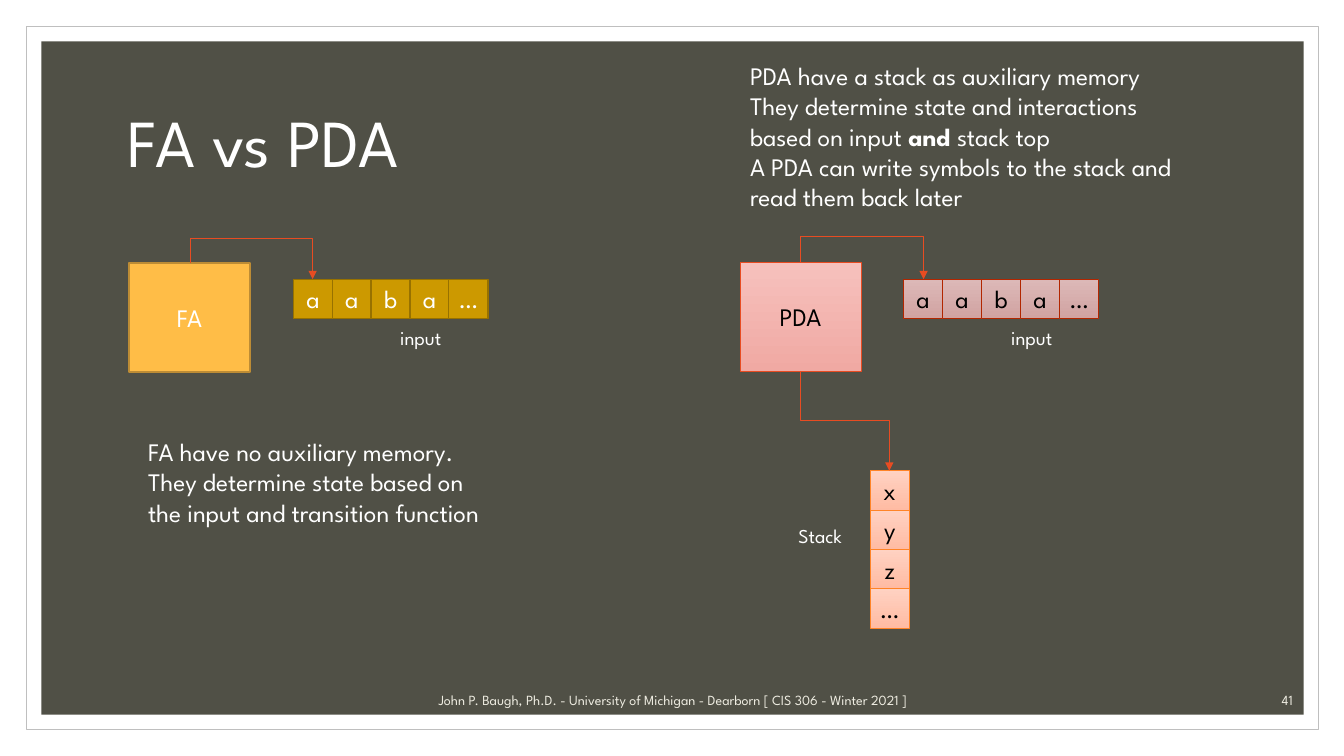
from dataclasses import dataclass

from lxml import etree
from pptx import Presentation
from pptx.dml.color import RGBColor
from pptx.enum.shapes import MSO_CONNECTOR, MSO_SHAPE
from pptx.enum.text import MSO_ANCHOR, MSO_AUTO_SIZE, PP_ALIGN
from pptx.oxml.ns import qn
from pptx.util import Inches, Pt

RECT = MSO_SHAPE.RECTANGLE
ELBOW = MSO_CONNECTOR.ELBOW
TOP, MID, LOW = MSO_ANCHOR.TOP, MSO_ANCHOR.MIDDLE, MSO_ANCHOR.BOTTOM
LEFT, CENTER, RIGHT = PP_ALIGN.LEFT, PP_ALIGN.CENTER, PP_ALIGN.RIGHT
GROW = MSO_AUTO_SIZE.SHAPE_TO_FIT_TEXT


@dataclass
class Theme:
    font: str = "League Spartan"
    white: str = "FFFFFF"
    black: str = "000000"
    frame: str = "BFBFBF"
    panel: str = "505046"
    foot: str = "EEECE1"
    arrow: str = "E84C22"
    amber: tuple = ("FFBD47",)
    rim: str = "BD8C35"
    gold: tuple = ("CC9900",)
    edge: str = "977100"
    pink: tuple = ("F6C1BD", "F0A9A3")
    rose: tuple = ("DCB8B7", "D1A3A2")
    rust: str = "B22600"
    peach: tuple = ("FFD2C2", "FFBBA3")
    flame: str = "FF8427"
    head: int = 48
    body: int = 18
    label: int = 14
    small: int = 10


class Deck:
    """Draws on one slide whose grid has ten columns and ten rows to the inch."""

    def __init__(self, theme):
        self.theme = theme
        self.show = Presentation()
        self.show.slide_width = Inches(13.33)
        self.show.slide_height = Inches(7.5)
        self.slide = self.show.slides.add_slide(self.show.slide_layouts[6])

    def grid(self, *units):
        return [Inches(u / 10) for u in units]

    def words(self, frame, paras, size, color, align, anchor, space=None):
        frame.vertical_anchor = anchor
        for i, parts in enumerate(paras):
            para = frame.paragraphs[0] if i == 0 else frame.add_paragraph()
            para.text = parts[0]
            for j, part in enumerate(parts[1:]):
                run = para.add_run()
                run.text = part
                run.font.bold = j % 2 == 0
            para.alignment = align
            para.line_spacing = space
            para.font.name = self.theme.font
            para.font.size = Pt(size)
            para.font.color.rgb = RGBColor.from_string(color)

    def box(self, place, fill, line=None, width=0.5, text=None, ink=None):
        shape = self.slide.shapes.add_shape(RECT, *self.grid(*place))
        shape.shadow.inherit = False
        if len(fill) == 1:
            shape.fill.solid()
            shape.fill.fore_color.rgb = RGBColor.from_string(fill[0])
        else:
            shape.fill.gradient()
            shape.fill.gradient_angle = 270
            for stop, color in zip(shape.fill.gradient_stops, fill):
                stop.color.rgb = RGBColor.from_string(color)
        if line:
            shape.line.color.rgb = RGBColor.from_string(line)
            shape.line.width = Pt(width)
        else:
            shape.line.fill.background()
        if text:
            self.words(shape.text_frame, [[text]], self.theme.body, ink, CENTER, MID)

    def cells(self, x, y, marks, step, *style):
        for i, mark in enumerate(marks):
            place = (x + i * step[0], y + i * step[1], 3.9, 3.9)
            self.box(place, *style[:3], mark, style[3])

    def text(self, place, paras, size, color=None, align=LEFT, anchor=TOP,
             wrap=False, space=None):
        frame = self.slide.shapes.add_textbox(*self.grid(*place)).text_frame
        frame.word_wrap = wrap
        if not wrap:
            frame.auto_size = GROW
        self.words(frame, paras, size, color or self.theme.white, align, anchor, space)

    def arrow(self, start, end, bend):
        wide, tall = end[0] - start[0], end[1] - start[1]
        midx, midy = (start[0] + end[0]) / 2, (start[1] + end[1]) / 2
        link = self.slide.shapes.add_connector(ELBOW, *self.grid(*start, *end))
        link.left, link.top, link.width, link.height = self.grid(
            midx - tall / 2, midy - wide / 2, tall, wide)
        link.line.color.rgb = RGBColor.from_string(self.theme.arrow)
        link.line.width = Pt(0.5)
        props = link._element.spPr
        form = props.find(qn("a:xfrm"))
        form.set("rot", "16200000")
        form.set("flipH", "1")
        geom = props.find(qn("a:prstGeom"))
        guides = geom.find(qn("a:avLst"))
        if guides is None:
            guides = etree.SubElement(geom, qn("a:avLst"))
        etree.SubElement(guides, qn("a:gd"), name="adj1",
                         fmla=f"val {round(bend / tall * 100000)}")
        etree.SubElement(props.find(qn("a:ln")), qn("a:tailEnd"), type="triangle")
        etree.SubElement(props, qn("a:effectLst"))


def main():
    look = Theme()
    deck = Deck(look)
    tape = ["a", "a", "b", "a", "…"]

    deck.box((2.6, 2.6, 128.2, 69.8), (look.white,), look.frame)
    deck.box((4.1, 4.1, 125.2, 66.8), (look.panel,))
    deck.text((11.7, 7, 110, 15), [["FA vs PDA"]], look.head,
              anchor=MID, wrap=True, space=0.9)
    credit = "John P. Baugh, Ph.D. - University of Michigan - Dearborn [ CIS 306 - Winter 2021 ]"
    deck.text((38.2, 68, 57, 2.8), [[credit]], look.small, look.foot, CENTER, LOW, True)
    deck.text((113.2, 68, 16, 2.8), [["41"]], look.small, look.foot, RIGHT, LOW, True)

    deck.box((12.8, 26.1, 12, 10.8), look.amber, look.rim, 1, "FA", look.white)
    deck.cells(29.1, 27.7, tape, (3.85, 0), look.gold, look.edge, 1, look.white)
    deck.box((73.4, 26, 12, 10.8), look.pink, look.arrow, 0.5, "PDA", look.black)
    deck.cells(89.6, 27.7, tape, (3.87, 0), look.rose, look.rust, 0.5, look.black)
    deck.cells(86.3, 46.7, ["x", "y", "z", "…"], (0, 3.9),
               look.peach, look.flame, 0.5, look.black)

    deck.arrow((18.9, 26.1), (31, 27.7), -2.5)
    deck.arrow((79.4, 26), (91.6, 27.7), -2.5)
    deck.arrow((79.4, 36.8), (88.2, 46.7), 4.95)

    for x in (38.7, 99.3):
        deck.text((x, 31.8, 6.8, 3.4), [["input"]], look.label)
    deck.text((78.2, 51.5, 7.3, 3.4), [["Stack"]], look.label)
    deck.text((13.7, 42.8, 41, 10.1), [
        ["FA have no auxiliary memory."],
        ["They determine state based on"],
        ["the input and transition function"],
    ], look.body)
    deck.text((73.4, 5.5, 53.8, 16.2), [
        ["PDA have a stack as auxiliary memory\n"
         "They determine state and interactions \nbased on input ", "and ", "stack top"],
        ["A PDA can write symbols to the stack and \nread them back later"],
    ], look.body)
    deck.show.save("out.pptx")


if __name__ == "__main__":
    main()
